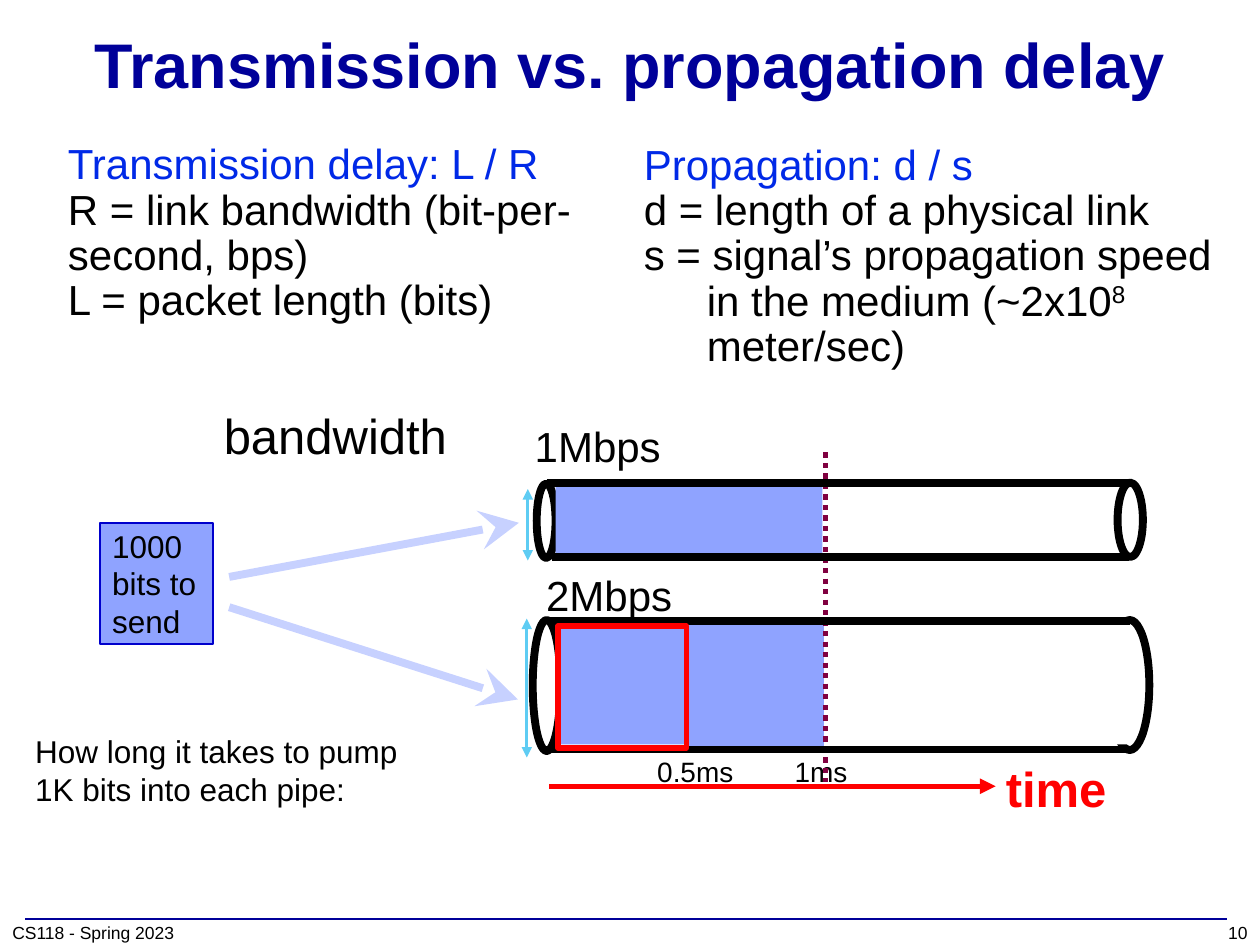
from dataclasses import dataclass

from lxml.etree import SubElement
from pptx import Presentation
from pptx.dml.color import RGBColor
from pptx.enum.dml import MSO_LINE_DASH_STYLE as Dash
from pptx.enum.shapes import MSO_CONNECTOR_TYPE as Connector, MSO_SHAPE as Shape
from pptx.enum.text import MSO_ANCHOR as Anchor, MSO_AUTO_SIZE as AutoSize, PP_ALIGN as Align
from pptx.oxml.ns import qn
from pptx.util import Cm, Pt


@dataclass(frozen=True)
class Theme:
    font: str = "Arial"
    navy: str = "000099"
    heading: str = "0029E7"
    black: str = "000000"
    white: str = "FFFFFF"
    red: str = "FF0000"
    bits: str = "8FA3FF"
    bits_edge: str = "0000CC"
    send: str = "C7D1FF"
    width_mark: str = "5ECCF3"
    time_mark: str = "800040"
    title_size: int = 36
    label_size: int = 28
    body_size: int = 24
    note_size: int = 18
    tick_size: int = 16
    footer_size: int = 10
    pipe_line: float = 4.5


THEME = Theme()


def colour(value):
    return RGBColor.from_string(value)


def write(para, text, *, size=THEME.body_size, color=THEME.black, bold=False,
          align=Align.LEFT, spacing=None, before=None, hanging=None, raised=False):
    """Add one span to a paragraph and format both."""
    para.alignment = align
    if spacing:
        para.line_spacing = spacing
    if before:
        para.space_before = Pt(before)
    if hanging:
        para.level = 1
        properties = para._p.get_or_add_pPr()
        properties.set("marL", str(Cm(hanging)))
        properties.set("indent", str(-Cm(hanging)))
    span = para.add_run()
    span.text = text
    span.font.name = THEME.font
    span.font.size = Pt(size)
    span.font.bold = bold
    span.font.color.rgb = colour(color)
    if raised:
        span._r.get_or_add_rPr().set("baseline", "30000")


def add_text_box(page, place, *, wrap=True, grow=False, anchor=Anchor.TOP):
    box = page.shapes.add_textbox(*map(Cm, place))
    frame = box.text_frame
    frame.word_wrap = wrap
    frame.auto_size = AutoSize.SHAPE_TO_FIT_TEXT if grow else AutoSize.NONE
    frame.vertical_anchor = anchor
    return frame


def add_label(page, place, text, *, wrap=False, grow=True, anchor=Anchor.TOP, **style):
    frame = add_text_box(page, place, wrap=wrap, grow=grow, anchor=anchor)
    write(frame.paragraphs[0], text, **style)


def add_figure(page, kind, place, *, fill=None, line=None, width=1):
    figure = page.shapes.add_shape(kind, *map(Cm, place))
    figure.shadow.inherit = False
    if fill:
        figure.fill.solid()
        figure.fill.fore_color.rgb = colour(fill)
    else:
        figure.fill.background()
    if line:
        figure.line.color.rgb = colour(line)
        figure.line.width = Pt(width)
    else:
        figure.line.fill.background()
    return figure


def add_line(page, ends, color, width, *, head=None, tail=None, tip="med", dash=None):
    line = page.shapes.add_connector(Connector.STRAIGHT, *map(Cm, ends))
    line.line.color.rgb = colour(color)
    line.line.width = Pt(width)
    if dash:
        line.line.dash_style = dash
    properties = line._element.spPr
    outline = properties.find(qn("a:ln"))
    for tag, arrow in (("a:headEnd", head), ("a:tailEnd", tail)):
        if arrow:
            SubElement(outline, qn(tag), type=arrow, w=tip, len=tip)
    SubElement(properties, qn("a:effectLst"))


def add_title_and_footer(page):
    add_line(page, (0.51, 18.52, 24.74, 18.52), THEME.navy, 1)
    title = page.shapes.title
    title.left, title.top, title.width, title.height = map(Cm, (0, 0, 25.4, 2.54))
    title.text_frame.vertical_anchor = Anchor.MIDDLE
    write(title.text_frame.paragraphs[0], "Transmission vs. propagation delay",
          size=THEME.title_size, color=THEME.navy, bold=True, align=Align.CENTER)
    for left, width, text, align in ((0, 5.08, "CS118 - Spring 2023", Align.LEFT),
                                     (24.13, 1.27, "10", Align.RIGHT)):
        add_label(page, (left, 18.54, width, 0.51), text, wrap=True, grow=False,
                  anchor=Anchor.MIDDLE, size=THEME.footer_size, align=align)


def add_definitions(page):
    # Transmission delay
    frame = add_text_box(page, (1.12, 2.77, 11.79, 8.38))
    write(frame.paragraphs[0], "Transmission delay: L / R",
          color=THEME.heading, spacing=0.9)
    for text in ("R = link bandwidth (bit-per-second, bps)", "L = packet length (bits)"):
        write(frame.add_paragraph(), text, spacing=0.9)

    # Propagation delay
    frame = add_text_box(page, (12.73, 2.57, 12.17, 8.38))
    write(frame.paragraphs[0], "Propagation: d / s",
          color=THEME.heading, spacing=1.1, before=6)
    write(frame.add_paragraph(), "d = length of a physical link", spacing=0.9, hanging=1.27)
    para = frame.add_paragraph()
    write(para, "s = signal’s propagation speed in the medium (~2x10",
          spacing=0.9, hanging=1.27)
    write(para, "8", raised=True)
    write(para, " meter/sec)")


def add_pipes(page):
    # Pipe ends, with the inner half of the lower right end covered
    for place in ((10.74, 12.5, 0.56, 2.64), (10.82, 9.75, 0.38, 1.5),
                  (22.53, 9.73, 0.51, 1.5), (22.38, 12.5, 0.79, 2.62)):
        add_figure(page, Shape.OVAL, place, line=THEME.black, width=THEME.pipe_line)
    add_figure(page, Shape.RECTANGLE, (22.23, 12.57, 0.51, 2.44), fill=THEME.white)

    # Bits inside the pipes
    for place in ((11.2, 12.57, 2.67, 2.44), (11.2, 9.75, 5.38, 1.47),
                  (13.89, 12.6, 2.72, 2.46)):
        add_figure(page, Shape.RECTANGLE, place, fill=THEME.bits)
    add_line(page, (16.64, 9.12, 16.64, 15.77), THEME.time_mark, 3, dash=Dash.ROUND_DOT)

    # Pipe walls
    for left, right, y in ((11.02, 22.73, 9.73), (11.13, 22.76, 11.23),
                           (11.05, 22.78, 12.52), (11, 22.73, 15.11)):
        add_line(page, (left, y, right, y), THEME.black, THEME.pipe_line)
    add_figure(page, Shape.RECTANGLE, (11.25, 12.62, 2.59, 2.46), line=THEME.red, width=3)

    # Bandwidth marks and labels
    for x, top, bottom in ((10.64, 9.86, 11.3), (10.62, 12.47, 15.27)):
        add_line(page, (x, top, x, bottom), THEME.width_mark, 1.5,
                 head="triangle", tail="triangle")
    for left, top, text in ((10.46, 8.36, "1Mbps"), (10.69, 11.35, "2Mbps")):
        add_label(page, (left, top, 3.18, 1.27), text, align=Align.CENTER)
    add_label(page, (4.22, 8.05, 5.08, 1.45), "bandwidth", anchor=Anchor.MIDDLE,
              size=THEME.label_size, align=Align.CENTER)


def add_sender(page):
    box = add_figure(page, Shape.RECTANGLE, (2.01, 10.54, 2.29, 2.44),
                     fill=THEME.bits, line=THEME.bits_edge)
    box.text_frame.word_wrap = True
    box.text_frame.vertical_anchor = Anchor.MIDDLE
    write(box.text_frame.paragraphs[0], "1000 bits to send", size=THEME.note_size)
    for ends in ((4.62, 11.63, 10.46, 10.54), (4.62, 12.24, 10.44, 14.1)):
        add_line(page, ends, THEME.send, THEME.pipe_line, tail="stealth", tip="lg")
    add_label(page, (0.46, 14.63, 8.13, 1.8),
              "How long it takes to pump 1K bits into each pipe:",
              wrap=True, size=THEME.note_size)


def add_time_axis(page):
    add_line(page, (11.07, 15.85, 20.07, 15.85), THEME.red, 3, tail="triangle")
    add_label(page, (20.02, 15.16, 2.54, 1.45), "time", anchor=Anchor.MIDDLE,
              size=THEME.label_size, color=THEME.red, bold=True, align=Align.CENTER)
    for left, width, text in ((13, 2.06, "0.5ms"), (15.77, 1.6, "1ms")):
        add_label(page, (left, 15.09, width, 0.94), text, size=THEME.tick_size)


def main():
    deck = Presentation()
    deck.slide_width, deck.slide_height = Cm(25.4), Cm(19.05)
    page = deck.slides.add_slide(deck.slide_layouts.get_by_name("Title Only"))
    add_title_and_footer(page)
    add_time_axis(page)
    add_pipes(page)
    add_sender(page)
    add_definitions(page)
    deck.save("out.pptx")


if __name__ == "__main__":
    main()
